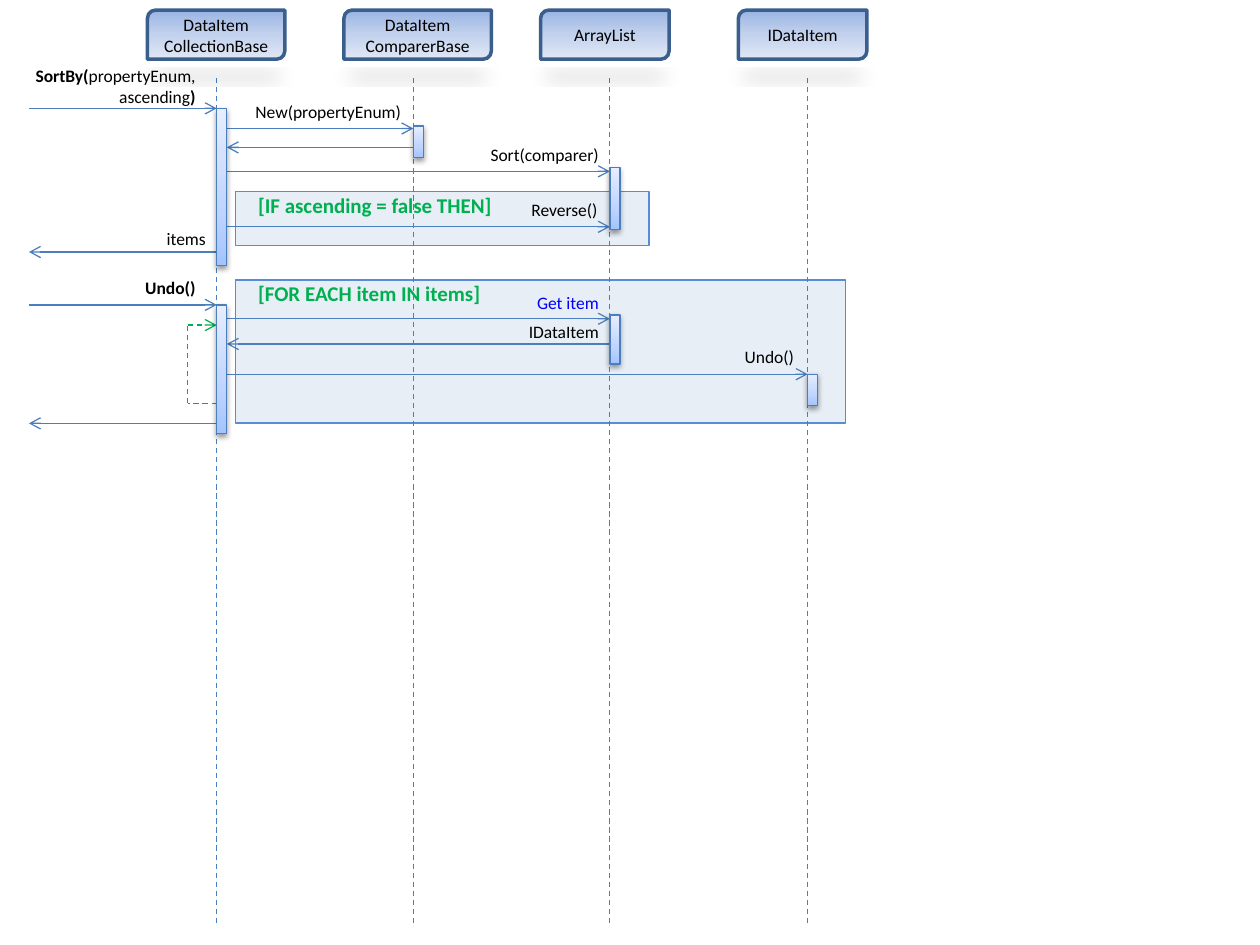
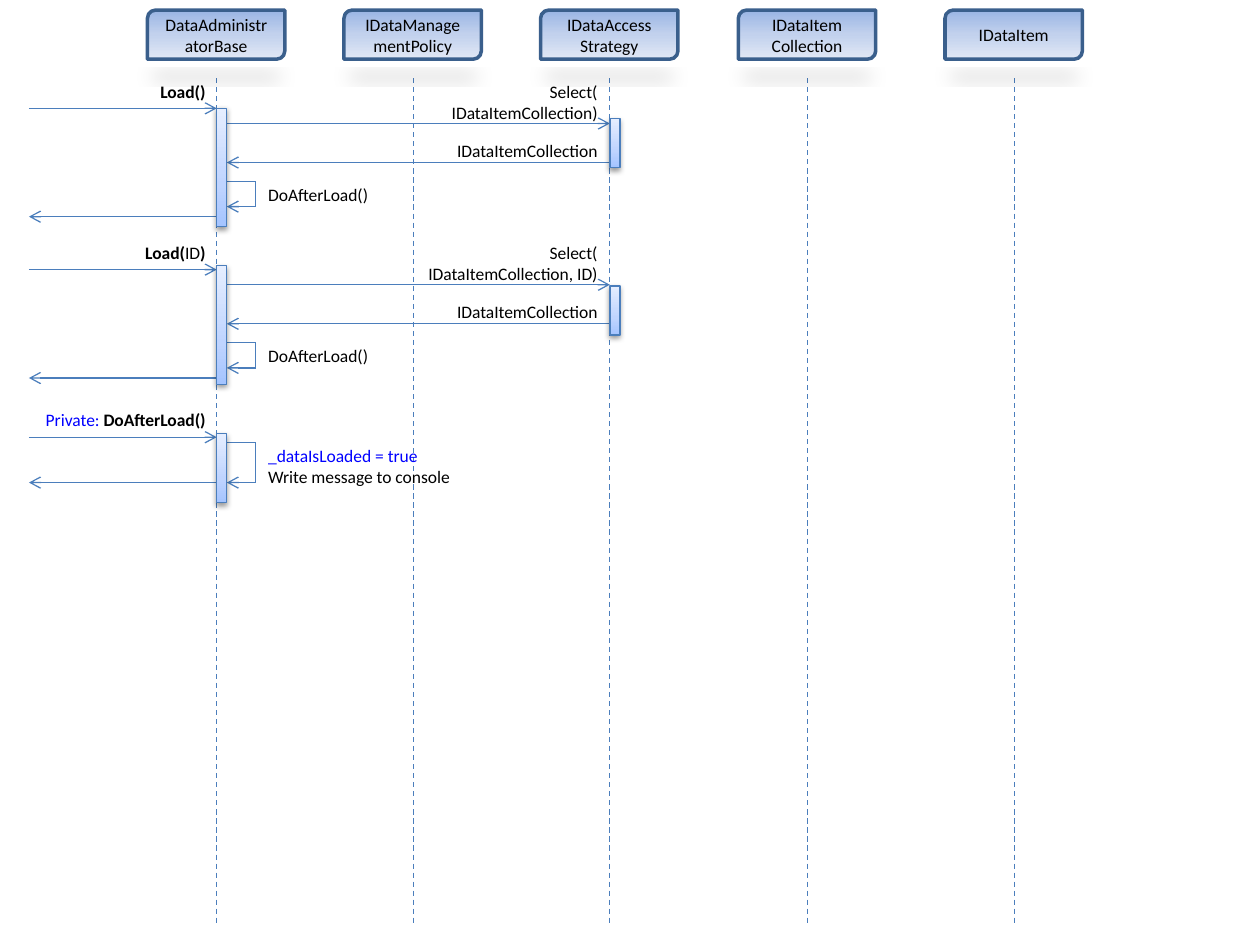
from dataclasses import dataclass

from lxml import etree
from pptx import Presentation
from pptx.dml.color import RGBColor
from pptx.enum.dml import MSO_LINE
from pptx.enum.shapes import MSO_CONNECTOR, MSO_SHAPE
from pptx.enum.text import MSO_ANCHOR, MSO_AUTO_SIZE, PP_ALIGN
from pptx.oxml.ns import qn
from pptx.util import Inches, Pt

RECT, ROUNDED = MSO_SHAPE.RECTANGLE, MSO_SHAPE.ROUND_2_DIAG_RECTANGLE
STRAIGHT, DASH = MSO_CONNECTOR.STRAIGHT, MSO_LINE.DASH
LEFT, CENTER, RIGHT = PP_ALIGN.LEFT, PP_ALIGN.CENTER, PP_ALIGN.RIGHT
MIDDLE, GROW = MSO_ANCHOR.MIDDLE, MSO_AUTO_SIZE.SHAPE_TO_FIT_TEXT


@dataclass(frozen=True)
class Theme:
    font: str = "Calibri"
    text_size: float = 10
    guard_size: float = 12
    line_width: float = 0.75
    black: str = "000000"
    blue: str = "0000FF"
    green: str = "00B050"
    line: str = "4B7EBC"
    header_line: str = "3A5F8C"
    frame_fill: str = "B9CDE5"
    frame_line: str = "558ED5"
    frame_alpha: int = 33
    # gradient stops as (percent, colour)
    header_stops: tuple = ((0, "9AB5E4"), (50, "C2D1ED"), (100, "E1E8F5"))
    bar_stops: tuple = ((0, "A4C4FF"), (35, "BFD4FF"), (100, "E6EEFF"))


T = Theme()

# Horizontal positions shared by both diagrams
OUTSIDE = 0.23
LIFELINES = (1.72, 3.28, 4.84, 6.41, 8.05)
BASE, COMPARER, STORE, ITEM = LIFELINES[:4]
BAR = 0.08
EDGE = BASE + BAR
HEADER_TOP, HEADER_HEIGHT, HEADER_OFFSET = 0.08, 0.39, 0.55
LIFE_TOP, LIFE_BOTTOM = 0.62, 7.34
BEND = 2.03
ONE_LINE, TWO_LINES = 0.27, 0.44

# Text runs are (text, colour, bold); a label is a list of paragraphs of runs
sorting = dict(
    headers=[("DataItem\nCollectionBase", 1.09), ("DataItem\nComparerBase", 1.17),
             ("ArrayList", 1.02), ("IDataItem", 1.02)],
    bars=[(BASE, 0.86, 1.25), (BASE, 2.42, 1.02), (COMPARER, 1.0, 0.25),
          (STORE, 1.33, 0.49), (STORE, 2.5, 0.39), (ITEM, 2.97, 0.25)],
    frames=[(1.52, 3.28, 0.43, "[IF ascending = false THEN]"),
            (2.22, 4.84, 1.14, "[FOR EACH item IN items]")],
    # start, end, y
    messages=[(OUTSIDE, BASE, 0.86), (EDGE, COMPARER, 1.02), (COMPARER, EDGE, 1.17),
              (EDGE, STORE, 1.36), (EDGE, STORE, 1.8), (BASE, OUTSIDE, 2.0),
              (OUTSIDE, BASE, 2.42), (EDGE, STORE, 2.53), (STORE, EDGE, 2.73),
              (EDGE, ITEM, 2.97), (BASE, OUTSIDE, 3.36)],
    # bar side, bend, start y, end y, colour, dash
    loops=[(BASE, 1.49, 3.2, 2.58, T.green, DASH)],
    # left, top, width, height, alignment, paragraphs
    labels=[
        (0.08, 0.47, 1.57, TWO_LINES, RIGHT,
         [[("SortBy(", T.black, True), ("propertyEnum, ascending", T.black, False),
           (")", T.black, True)]]),
        (1.71, 0.75, 1.57, ONE_LINE, RIGHT, [[("New(propertyEnum)", T.black, False)]]),
        (3.28, 1.09, 1.57, ONE_LINE, RIGHT, [[("Sort(comparer)", T.black, False)]]),
        (3.27, 1.53, 1.57, ONE_LINE, RIGHT, [[("Reverse()", T.black, False)]]),
        (0.94, 1.76, 0.79, ONE_LINE, RIGHT, [[("items", T.black, False)]]),
        (0.78, 2.15, 0.87, ONE_LINE, RIGHT, [[("Undo()", T.black, True)]]),
        (3.28, 2.27, 1.57, ONE_LINE, RIGHT, [[("Get item", T.blue, False)]]),
        (3.28, 2.5, 1.57, ONE_LINE, RIGHT, [[("IDataItem", T.black, False)]]),
        (4.83, 2.7, 1.57, ONE_LINE, RIGHT, [[("Undo()", T.black, False)]]),
    ],
)

loading = dict(
    headers=[("DataAdministratorBase", 1.09), ("IDataManagementPolicy", 1.09),
             ("IDataAccess\nStrategy", 1.09), ("IDataItem\nCollection", 1.09),
             ("IDataItem", 1.09)],
    bars=[(BASE, 0.86, 0.94), (BASE, 2.11, 0.94), (BASE, 3.44, 0.55),
          (STORE, 0.94, 0.39), (STORE, 2.27, 0.39)],
    frames=[],
    messages=[(OUTSIDE, BASE, 3.47), (BASE, OUTSIDE, 3.83)],
    loops=[(EDGE, BEND, 3.51, 3.83, T.line, None)],
    labels=[
        (0, 3.2, 1.73, ONE_LINE, RIGHT,
         [[("Private: ", T.blue, False), ("DoAfterLoad()", T.black, True)]]),
        (BEND, 3.48, 1.8, TWO_LINES, LEFT,
         [[("_dataIsLoaded = true", T.blue, False)],
          [("Write message to console", T.black, False)]]),
    ],
)

# The two Load calls follow the same sequence
load_calls = [
    (0.86, [("Load()", T.black, True)], "IDataItemCollection)"),
    (2.14, [("Load(", T.black, True), ("ID", T.black, False), (")", T.black, True)],
     "IDataItemCollection, ID)"),
]
for start, call, arguments in load_calls:
    loading["messages"] += [
        (OUTSIDE, BASE, start), (EDGE, STORE, start + 0.12),
        (STORE, EDGE, start + 0.43), (BASE, OUTSIDE, start + 0.86)]
    loading["loops"].append((EDGE, BEND, start + 0.58, start + 0.78, T.line, None))
    loading["labels"] += [
        (0, start - 0.27, 1.73, ONE_LINE, RIGHT, [call]),
        (3.12, start - 0.27, 1.72, TWO_LINES, RIGHT,
         [[("Select(", T.black, False)], [(arguments, T.black, False)]]),
        (3.12, start + 0.2, 1.72, ONE_LINE, RIGHT,
         [[("IDataItemCollection", T.black, False)]]),
        (BEND, start + 0.55, 1.41, ONE_LINE, LEFT,
         [[("DoAfterLoad()", T.black, False)]])]


def add_label(slide, left, top, width, height, align, paragraphs, size=T.text_size):
    box = slide.shapes.add_textbox(Inches(left), Inches(top), Inches(width), Inches(height))
    frame = box.text_frame
    frame.word_wrap = True
    frame.auto_size = GROW
    for number, runs in enumerate(paragraphs):
        paragraph = frame.add_paragraph() if number else frame.paragraphs[0]
        paragraph.alignment = align
        for text, color, bold in runs:
            run = paragraph.add_run()
            run.text = text
            run.font.name, run.font.size, run.font.bold = T.font, Pt(size), bold
            run.font.color.rgb = RGBColor.from_string(color)


def add_box(slide, kind, at, stops, angle, outline, line_width, shadow, alpha):
    box = slide.shapes.add_shape(kind, *(Inches(length) for length in at))
    box.fill.gradient()
    box.fill.gradient_angle = angle
    stop_list = box._element.spPr.find(".//" + qn("a:gsLst"))
    stop_list.clear()
    for percent, color in stops:
        stop = etree.SubElement(stop_list, qn("a:gs"), pos=str(percent * 1000))
        etree.SubElement(stop, qn("a:srgbClr"), val=color)
    box.line.color.rgb = RGBColor.from_string(outline)
    box.line.width = Pt(line_width)
    box.shadow.inherit = False
    effects = box._element.spPr.find(qn("a:effectLst"))
    outer = etree.SubElement(effects, qn("a:outerShdw"), dir="5400000", rotWithShape="0",
                             **shadow)
    shade = etree.SubElement(outer, qn("a:srgbClr"), val=T.black)
    etree.SubElement(shade, qn("a:alpha"), val=str(alpha * 1000))
    return box


header_shadow = dict(blurRad=str(Pt(12)), dist=str(Pt(7)), sx="90000", sy="-19000", algn="b")
bar_shadow = dict(blurRad=str(Pt(3.1)), dist=str(Pt(1.6)))

prs = Presentation()
prs.slide_width, prs.slide_height = Inches(10), Inches(7.5)

for diagram in (sorting, loading):
    slide = prs.slides.add_slide(prs.slide_layouts[6])

    # Condition and loop frames with their guards
    for top, width, height, guard in diagram["frames"]:
        region = slide.shapes.add_shape(RECT, Inches(1.87), Inches(top),
                                        Inches(width), Inches(height))
        region.shadow.inherit = False
        region.fill.solid()
        region.fill.fore_color.rgb = RGBColor.from_string(T.frame_fill)
        tint = region._element.spPr.find(qn("a:solidFill")).find(qn("a:srgbClr"))
        etree.SubElement(tint, qn("a:alpha"), val=str(T.frame_alpha * 1000))
        region.line.color.rgb = RGBColor.from_string(T.frame_line)
        region.line.width = Pt(1)
        add_label(slide, 1.95, top - 0.04, 3.67, 0.3, LEFT,
                  [[(guard, T.green, True)]], T.guard_size)

    # Lifelines, messages and self calls: x1, y1, x2, y2, colour, dash, arrow
    lines = [(x, LIFE_TOP, x, LIFE_BOTTOM, T.line, DASH, False)
             for x, _ in zip(LIFELINES, diagram["headers"])]
    lines += [(x1, y, x2, y, T.line, None, True) for x1, x2, y in diagram["messages"]]
    for side, bend, first, last, color, dash in diagram["loops"]:
        lines += [(side, first, bend, first, color, dash, False),
                  (bend, first, bend, last, color, dash, False),
                  (bend, last, side, last, color, dash, True)]
    for x1, y1, x2, y2, color, dash, arrow in lines:
        line = slide.shapes.add_connector(STRAIGHT, Inches(x1), Inches(y1),
                                          Inches(x2), Inches(y2))
        line.line.color.rgb = RGBColor.from_string(color)
        line.line.width = Pt(T.line_width)
        if dash:
            line.line.dash_style = dash
        if arrow:
            etree.SubElement(line.line._get_or_add_ln(), qn("a:tailEnd"), type="arrow")
        etree.SubElement(line._element.spPr, qn("a:effectLst"))

    # Message labels
    for label in diagram["labels"]:
        add_label(slide, *label)

    # Participant headers
    for x, (title, width) in zip(LIFELINES, diagram["headers"]):
        header = add_box(slide, ROUNDED, (x - HEADER_OFFSET, HEADER_TOP, width, HEADER_HEIGHT),
                         T.header_stops, 270, T.header_line, 2, header_shadow, 15)
        frame = header.text_frame
        frame.word_wrap = True
        frame.vertical_anchor = MIDDLE
        frame.text = title
        for paragraph in frame.paragraphs:
            paragraph.alignment = CENTER
            font = paragraph.runs[0].font
            font.name, font.size = T.font, Pt(T.text_size)
            font.color.rgb = RGBColor.from_string(T.black)

    # Activation bars
    for x, top, height in diagram["bars"]:
        add_box(slide, RECT, (x, top, BAR, height), T.bar_stops, 90, T.line,
                T.line_width, bar_shadow, 38)

prs.save("out.pptx")
